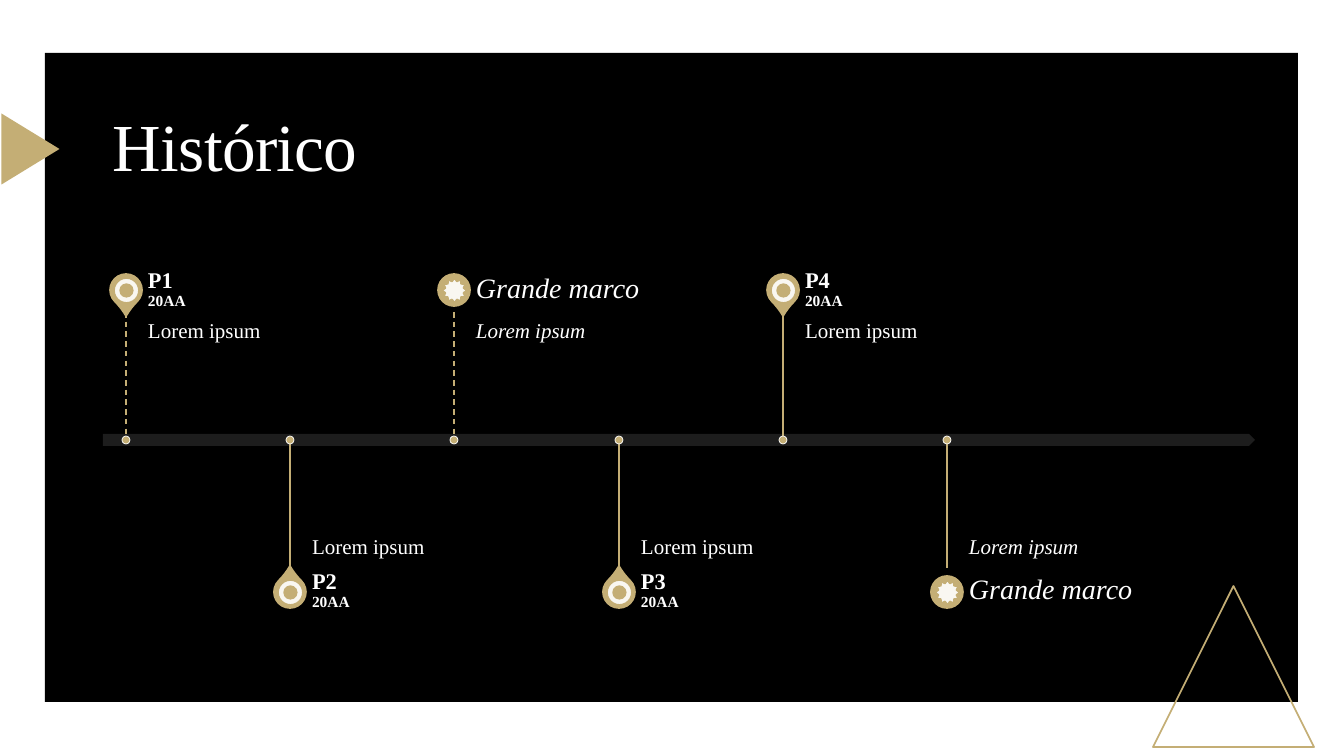
import copy
import pptx
import pptx.util
import pptx.dml.color
import pptx.enum.dml
import pptx.enum.shapes
import pptx.enum.text
import pptx.oxml
import pptx.oxml.ns

PX = 914400 / 100.8
BLACK = pptx.dml.color.RGBColor(0x00, 0x00, 0x00)
WHITE = pptx.dml.color.RGBColor(0xFF, 0xFF, 0xFF)
GOLD = pptx.dml.color.RGBColor(0xC4, 0xAE, 0x75)
CHARCOAL = pptx.dml.color.RGBColor(0x21, 0x21, 0x21)
FONT = "Times New Roman"
SHAPE = pptx.enum.shapes.MSO_SHAPE
ANCHOR = pptx.enum.text.MSO_ANCHOR
NS = pptx.oxml.ns.nsdecls("a")

prs = pptx.Presentation()
prs.slide_width = round(1344 * PX)
prs.slide_height = round(756 * PX)
slide = prs.slides.add_slide(prs.slide_layouts[6])


def add_figure(preset, box, fill=None, line=None, width=1.25, rotation=0, alpha=None):
    figure = slide.shapes.add_shape(preset, *[round(v * PX) for v in box])
    figure.shadow.inherit = False
    figure.rotation = rotation
    if fill is None:
        figure.fill.background()
    else:
        figure.fill.solid()
        figure.fill.fore_color.rgb = fill
    if alpha:
        color = figure._element.spPr.find(".//" + pptx.oxml.ns.qn("a:srgbClr"))
        color.append(pptx.oxml.parse_xml(f'<a:alpha {NS} val="{alpha * 1000}"/>'))
    if line is None:
        figure.line.fill.background()
    else:
        figure.line.color.rgb = line
        figure.line.width = pptx.util.Pt(width)
    return figure


def add_label(text, box, insets, anchor, sizes, bold=False, italic=False):
    frame = slide.shapes.add_textbox(*[round(v * PX) for v in box]).text_frame
    frame.word_wrap = True
    frame.vertical_anchor = anchor
    (frame.margin_left, frame.margin_top,
     frame.margin_right, frame.margin_bottom) = [round(v * PX) for v in insets]
    paragraph = frame.paragraphs[0]
    paragraph.text = text
    paragraph.line_spacing = 0.9
    for run, size in zip(paragraph.runs, sizes):
        run.font.name = FONT
        run.font.size = pptx.util.Pt(size)
        run.font.bold = bold
        run.font.italic = italic
        run.font.color.rgb = WHITE
    for line_break in paragraph._p.findall(pptx.oxml.ns.qn("a:br")):
        line_break.append(copy.deepcopy(paragraph.runs[0]._r.rPr))
    return paragraph


add_figure(SHAPE.RECTANGLE, (45, 53, 1253, 649), BLACK)
add_figure(SHAPE.ISOSCELES_TRIANGLE, (1153, 586, 161, 161), line=GOLD)
add_figure(SHAPE.ISOSCELES_TRIANGLE, (-5, 120, 71, 58), GOLD, rotation=90)
add_figure(SHAPE.PENTAGON, (103, 434, 1152, 12), CHARCOAL, alpha=90)

AXIS_Y = 440
STEM = 128
HEADING_H = 45
TEXT_W = 273
milestones = [
    ("P1", True),
    ("P2", False),
    ("Grande marco", True),
    ("P3", False),
    ("P4", False),
    ("Grande marco", False),
]

for index, (name, dashed) in enumerate(milestones):
    x = round(126 + 164.25 * index)
    above = index % 2 == 0
    major = name == "Grande marco"
    stem_top = AXIS_Y - STEM if above else AXIS_Y
    heading_top = stem_top - HEADING_H if above else stem_top + STEM
    pin_y = 290 if above else 592

    pin = add_figure(SHAPE.OVAL if major else SHAPE.TEAR, (x - 16, pin_y - 16, 32, 32),
                     GOLD, GOLD, rotation=135 if above else 315)
    if not major:
        pin.adjustments[0] = 1.15
    add_figure(SHAPE.STAR_12_POINT if major else SHAPE.DONUT,
               (x - 12, pin_y - 12, 25, 25), WHITE, GOLD, alpha=90)

    add_label("Lorem ipsum", (x + 22, stem_top, TEXT_W, STEM),
              (0, 10, 10, 16) if above else (0, 16, 0, 10),
              ANCHOR.TOP if above else ANCHOR.BOTTOM, [15], italic=major)
    add_label(name if major else name + "\v20AA", (x + 22, heading_top, TEXT_W, HEADING_H),
              (0, 0, 14 if major else 11, 0), ANCHOR.MIDDLE,
              [20] if major else [16, 11], bold=not major, italic=major)

    stem = slide.shapes.add_connector(
        pptx.enum.shapes.MSO_CONNECTOR.STRAIGHT,
        *[round(v * PX) for v in (x, stem_top, x, stem_top + STEM)])
    stem.line.color.rgb = GOLD
    stem.line.width = pptx.util.Pt(1)
    if dashed:
        stem.line.dash_style = pptx.enum.dml.MSO_LINE.DASH
    stem._element.spPr.append(pptx.oxml.parse_xml(f"<a:effectLst {NS}/>"))
    add_figure(SHAPE.OVAL, (x - 4, AXIS_Y - 4, 8, 8), GOLD, WHITE, 0.5)

title = add_label("Histórico", (103, 99, 1152, 101), (10, 5, 10, 5), ANCHOR.MIDDLE, [48])
title.runs[0]._r.rPr.set("spc", "-50")

prs.save("out.pptx")
